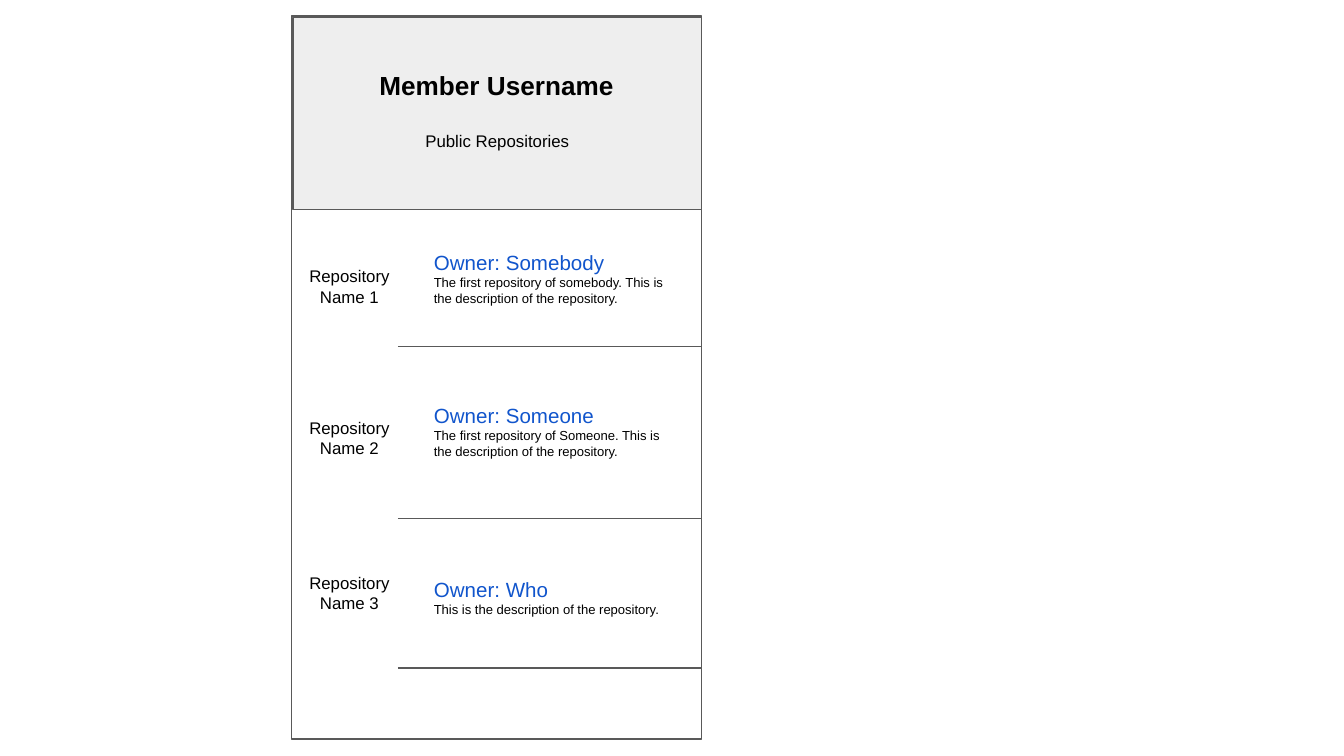
from dataclasses import dataclass

import pptx
import pptx.dml.color
import pptx.enum.shapes
import pptx.enum.text
import pptx.oxml.ns
import pptx.util
from lxml import etree
from pptx.util import Inches

COLORS = {"line": "595959", "header": "EEEEEE", "text": "000000", "owner": "1155CC"}
ALIGN = pptx.enum.text.PP_ALIGN
SLIDE_WIDTH = 10
SLIDE_HEIGHT = SLIDE_WIDTH * 9 / 16
RULE_LEFT, PANEL_RIGHT = 2.96, 5.22


@dataclass
class Repository:
    name: str
    name_top: float
    owner: str
    description: str
    details_top: float
    details_height: float
    rule_y: float


@dataclass
class Line:
    text: str
    size: float
    color: str = "text"
    bold: bool = False


REPOSITORIES = [
    Repository("Repository Name 1", 1.88, "Owner: Somebody",
               "The first repository of somebody. This is the description of the repository.",
               1.76, 0.62, 2.58),
    Repository("Repository Name 2", 3.01, "Owner: Someone",
               "The first repository of Someone. This is the description of the repository.",
               2.9, 0.62, 3.86),
    Repository("Repository Name 3", 4.16, "Owner: Who",
               "This is the description of the repository.",
               4.19, 0.5, 4.97),
]


def rgb(name: str) -> pptx.dml.color.RGBColor:
    return pptx.dml.color.RGBColor.from_string(COLORS[name])


def style_outline(outline) -> None:
    outline.color.rgb = rgb("line")
    outline.width = pptx.util.Pt(0.75)


def add_panel(slide, left: float, top: float, width: float, height: float,
              fill: str | None = None) -> None:
    panel = slide.shapes.add_shape(pptx.enum.shapes.MSO_SHAPE.RECTANGLE, Inches(left),
                                   Inches(top), Inches(width), Inches(height))
    panel.shadow.inherit = False
    if fill:
        panel.fill.solid()
        panel.fill.fore_color.rgb = rgb(fill)
    else:
        panel.fill.background()
    style_outline(panel.line)


def add_rule(slide, y: float) -> None:
    rule = slide.shapes.add_connector(pptx.enum.shapes.MSO_CONNECTOR.STRAIGHT,
                                      Inches(RULE_LEFT), Inches(y),
                                      Inches(PANEL_RIGHT), Inches(y))
    style_outline(rule.line)
    etree.SubElement(rule._element.spPr, pptx.oxml.ns.qn("a:effectLst"))


def add_text(slide, lines: list[Line], *, left: float, top: float, width: float,
             height: float, align: ALIGN = ALIGN.CENTER) -> None:
    """Place one paragraph per line in a wrapping box with even insets."""
    frame = slide.shapes.add_textbox(Inches(left), Inches(top),
                                     Inches(width), Inches(height)).text_frame
    frame.word_wrap = True
    frame.auto_size = pptx.enum.text.MSO_AUTO_SIZE.SHAPE_TO_FIT_TEXT
    frame.margin_left = frame.margin_right = Inches(0.1)
    frame.margin_top = frame.margin_bottom = Inches(0.1)
    for index, line in enumerate(lines):
        paragraph = frame.add_paragraph() if index else frame.paragraphs[0]
        paragraph.alignment = align
        run = paragraph.add_run()
        run.text = line.text
        run.font.name = "Arial"
        run.font.size = pptx.util.Pt(line.size)
        run.font.bold = line.bold
        run.font.color.rgb = rgb(line.color)


def add_repository(slide, repository: Repository) -> None:
    add_rule(slide, repository.rule_y)
    add_text(slide, [Line(repository.name, 9)],
             left=2.13, top=repository.name_top, width=0.94, height=0.5)
    add_text(slide, [Line(repository.owner, 11, "owner"), Line(repository.description, 7)],
             left=3.13, top=repository.details_top, width=1.93,
             height=repository.details_height, align=ALIGN.LEFT)


def main() -> None:
    presentation = pptx.Presentation()
    presentation.slide_width = Inches(SLIDE_WIDTH)
    presentation.slide_height = Inches(SLIDE_HEIGHT)
    slide = presentation.slides.add_slide(presentation.slide_layouts[6])

    add_panel(slide, 2.17, 0.12, 3.05, 5.38)
    add_panel(slide, 2.18, 0.13, 3.04, 1.43, fill="header")
    add_text(slide, [Line("Member Username", 14, bold=True)],
             left=2.66, top=0.42, width=2.07, height=0.44)
    add_text(slide, [Line("Public Repositories", 9)],
             left=3.03, top=0.9, width=1.34, height=0.35)
    for repository in REPOSITORIES:
        add_repository(slide, repository)

    presentation.save("out.pptx")


if __name__ == "__main__":
    main()
